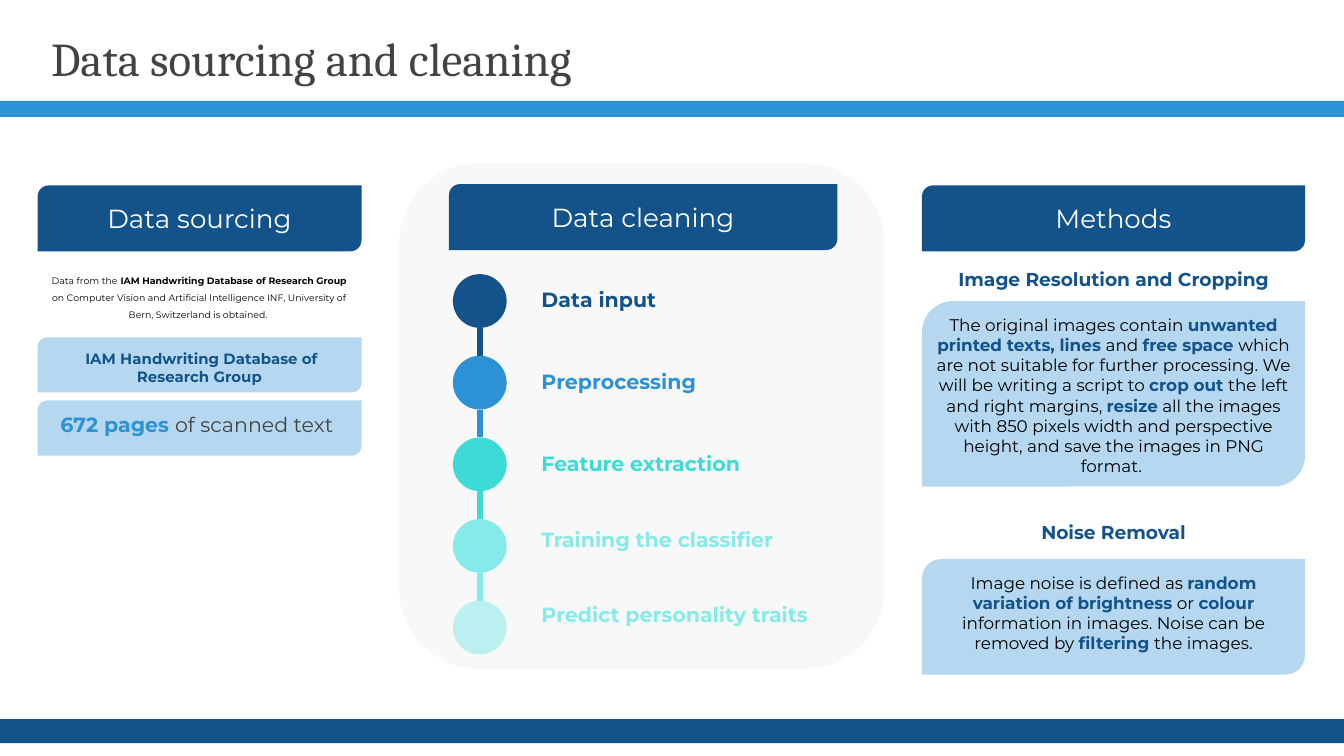
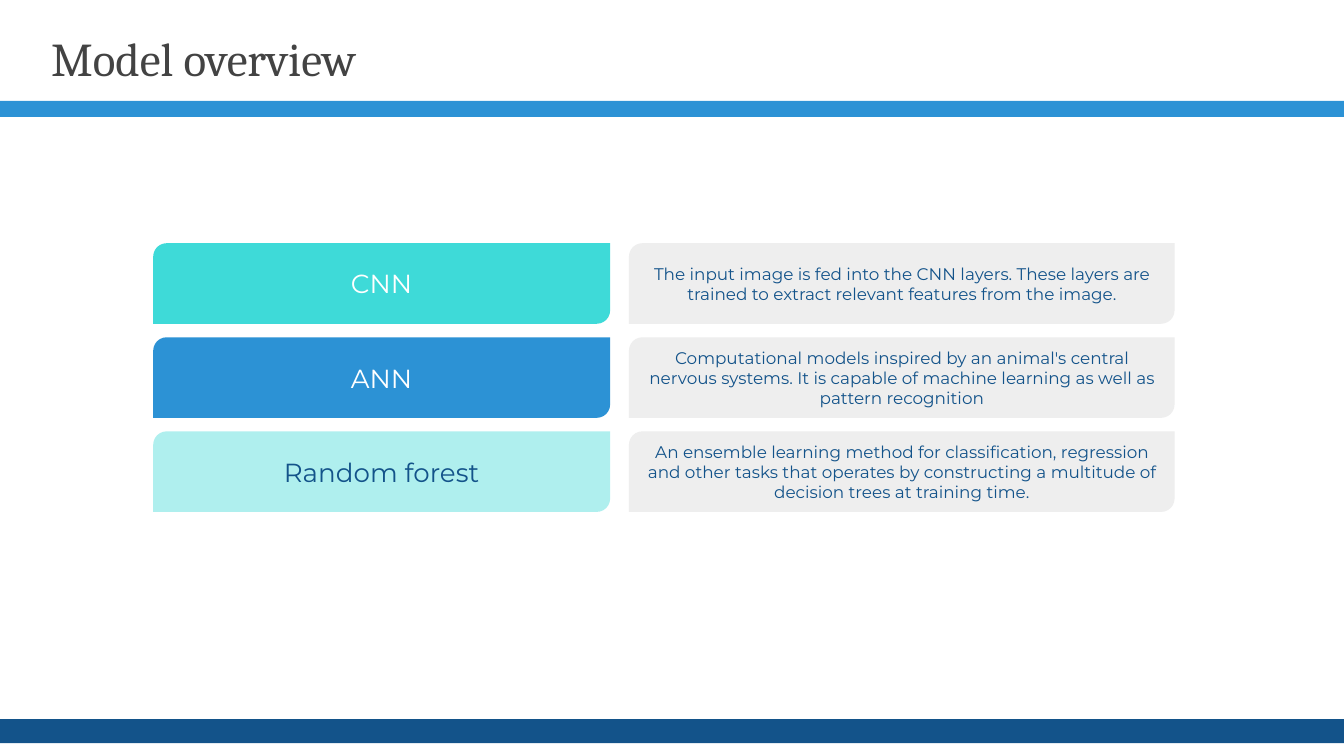
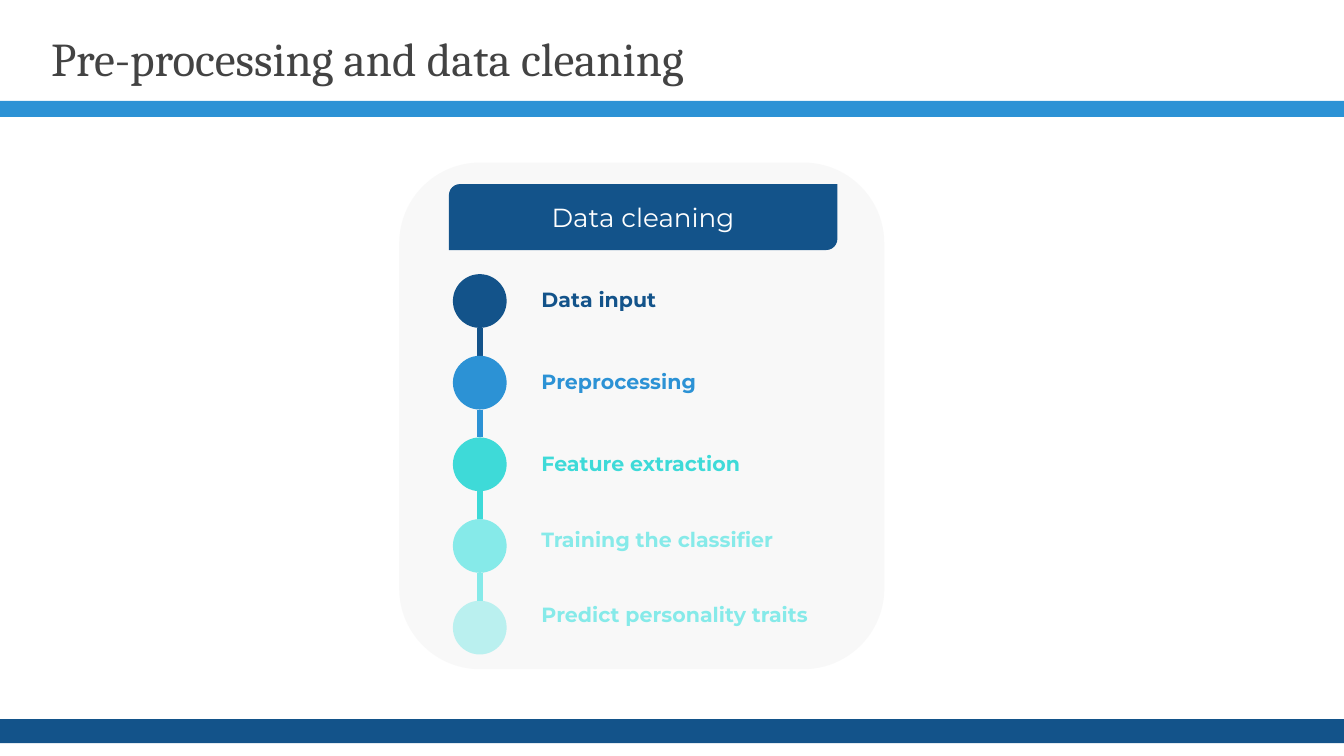
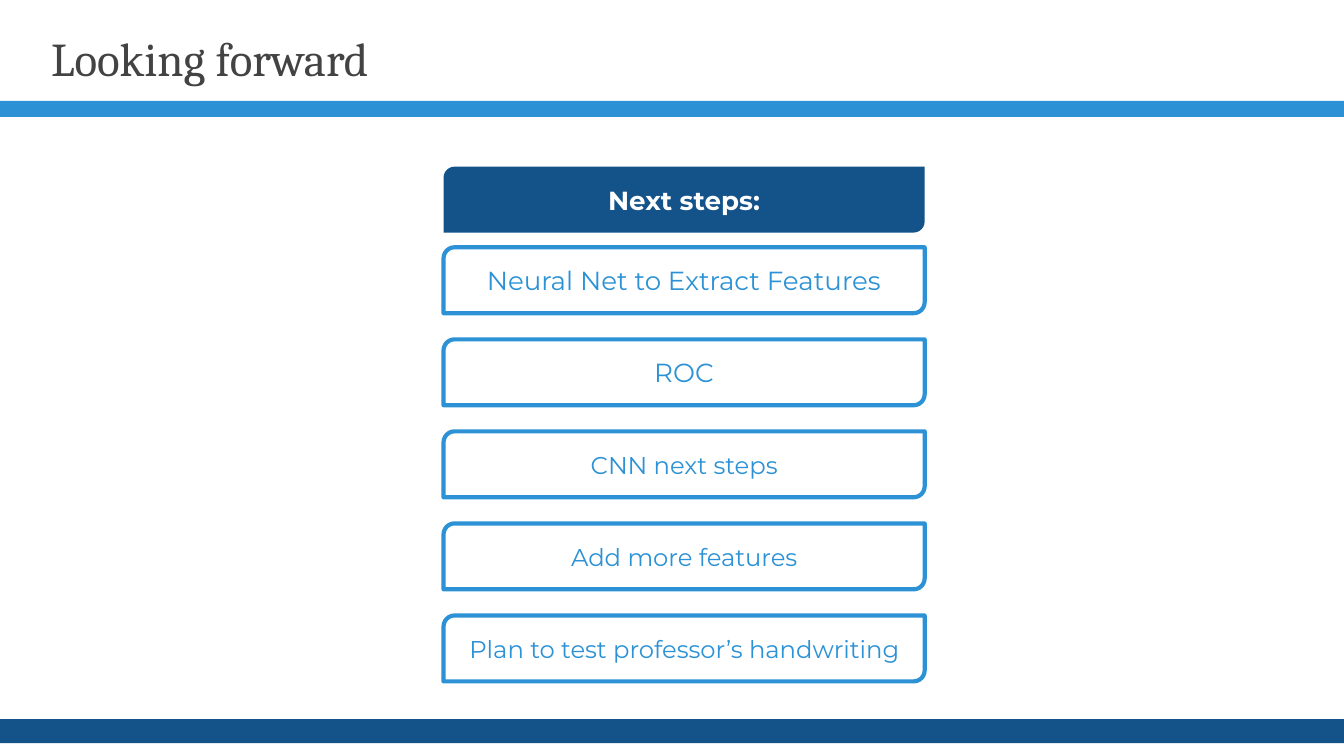
"""Build four slides on handwriting data, models and next steps."""
from lxml import etree
from pptx import Presentation
from pptx.dml.color import RGBColor
from pptx.enum import shapes, text
from pptx.oxml.ns import qn
from pptx.util import Inches, Pt

NAVY = RGBColor(0x13, 0x53, 0x8A)
BLUE = RGBColor(0x2C, 0x92, 0xD5)
TEAL = RGBColor(0x3E, 0xDA, 0xD8)
AQUA = RGBColor(0x86, 0xEA, 0xE9)
GREY = RGBColor(0x43, 0x43, 0x43)
PALE = RGBColor(0xF3, 0xF3, 0xF3)
MIST = RGBColor(0xEE, 0xEE, 0xEE)
WHITE = RGBColor(0xFF, 0xFF, 0xFF)
BLACK = RGBColor(0, 0, 0)

RECT = shapes.MSO_SHAPE.RECTANGLE
LEAF = shapes.MSO_SHAPE.ROUND_2_DIAG_RECTANGLE
ROUND = shapes.MSO_SHAPE.ROUNDED_RECTANGLE
DOT = shapes.MSO_SHAPE.OVAL
LEFT = text.PP_ALIGN.LEFT
MID = text.PP_ALIGN.CENTER


def put(slide, kind, box, fill=None, alpha=100):
    """Add a borderless shape, or a text box when kind is None."""
    box = [Inches(n) for n in box]
    if kind is None:
        area = slide.shapes.add_textbox(*box)
        area.text_frame.auto_size = text.MSO_AUTO_SIZE.SHAPE_TO_FIT_TEXT
        return area
    shape = slide.shapes.add_shape(kind, *box)
    shape.shadow.inherit = False
    shape.line.fill.background()
    if fill is None:
        shape.fill.background()
    else:
        shape.fill.solid()
        shape.fill.fore_color.rgb = fill
    if alpha < 100:
        tint = shape.element.spPr.find(".//" + qn("a:srgbClr"))
        etree.SubElement(tint, qn("a:alpha")).set("val", str(alpha * 1000))
    return shape


def write(shape, words, size, ink, bold=False, align=MID, mark=NAVY, face="Montserrat"):
    """Fill a shape with one paragraph; words between asterisks are bold in mark."""
    frame = shape.text_frame
    frame.word_wrap = True
    frame.margin_left = frame.margin_right = Inches(0.1)
    frame.margin_top = frame.margin_bottom = Inches(0.1)
    para = frame.paragraphs[0]
    para.alignment = align
    para.font.name = face
    para.font.size = Pt(size)
    para.font.bold = bold
    para.font.color.rgb = ink
    for i, part in enumerate(words.split("*")):
        if part:
            run = para.add_run()
            run.text = part
            if i % 2:
                run.font.bold = True
                run.font.color.rgb = mark
    return para


deck = Presentation()
deck.slide_width = Inches(10)
deck.slide_height = deck.slide_width * 9 // 16
layout = deck.slide_layouts[5]

titles = ("Data sourcing and cleaning", "Model overview",
          "Pre-processing and data cleaning", "Looking forward")
for name in titles:
    slide = deck.slides.add_slide(layout)
    title = slide.shapes.title
    title.left, title.top = Inches(0.28), Inches(0.12)
    title.width, title.height = Inches(9.32), Inches(0.63)
    title.text_frame.auto_size = text.MSO_AUTO_SIZE.NONE
    title.text_frame.vertical_anchor = text.MSO_ANCHOR.TOP
    write(title, name, 25.2, GREY, align=LEFT, face="Cambria")
source, model, clean, ahead = deck.slides

bands = ((5.35, 0.18, NAVY), (0.75, 0.12, BLUE))
for i, (top, high, fill) in enumerate(bands):
    band = put(source, RECT, (0, top, 10, high), fill).element
    band.nvSpPr.cNvPr.set("id", str(20 + i))
    layout.shapes.element.insert(2 + i, band)

for x, wide, head in ((0.28, 2.41, "Data sourcing"), (6.86, 2.85, "Methods")):
    write(put(source, LEAF, (x, 1.38, wide, 0.49), NAVY), head, 14, WHITE)

intro = write(
    put(source, None, (0.28, 1.91, 2.41, 0.54)),
    "Data from the* IAM Handwriting Database of Research Group *on Computer Vision "
    "and Artificial Intelligence INF, University of Bern, Switzerland is obtained. ",
    5, BLACK, mark=BLACK)
intro.line_spacing = 1.5

for top in (2.51, 2.98):
    put(source, LEAF, (0.28, top, 2.41, 0.41), BLUE, 35)
write(put(source, None, (0.28, 2.5, 2.41, 0.47)),
      " IAM Handwriting Database of Research Group", 8, NAVY, True)
write(put(source, None, (0.28, 2.97, 2.41, 0.39)),
      "*672 pages *of scanned text ", 11, GREY, mark=BLUE)

methods = (
    ("Image Resolution and Cropping", 1.91, 2.24, 1.38, 1.41,
     "The original images contain *unwanted printed texts, lines *and *free space *"
     "which are not suitable for further processing. We will be writing a script to "
     "*crop out *the left and right margins, *resize* all the images with 850 pixels "
     "width and perspective height, and save the images in PNG format. "),
    ("Noise Removal", 3.79, 4.16, 0.86, 0.81,
     "Image noise is defined as *random variation of brightness *or *colour *"
     "information in images. Noise can be removed by *filtering *the images."),
)
for head, top, low, high, tall, words in methods:
    write(put(source, None, (6.86, top, 2.85, 0.37)), head, 10, NAVY, True)
    put(source, LEAF, (6.86, low, 2.85, high), BLUE, 35)
    write(put(source, None, (6.86, low, 2.85, tall)), words, 9, BLACK)

steps = (("Data input", 2.04, NAVY, 100),
         ("Preprocessing", 2.65, BLUE, 100),
         ("Feature extraction", 3.26, TEAL, 100),
         ("Training the classifier", 3.83, AQUA, 100),
         ("Predict personality traits", 4.39, AQUA, 54))
pitch = 2.43 / 4
for slide in (source, clean):
    put(slide, ROUND, (2.97, 1.21, 3.61, 3.77), PALE, 54)
    write(put(slide, LEAF, (3.34, 1.37, 2.89, 0.49), NAVY), "Data cleaning", 14, WHITE)
    for i, (name, top, hue, alpha) in enumerate(steps):
        y = 2.04 + i * pitch
        put(slide, DOT, (3.37, y, 0.4, 0.4), hue, alpha)
        if i < len(steps) - 1:
            link = slide.shapes.add_connector(
                shapes.MSO_CONNECTOR.STRAIGHT,
                Inches(3.57), Inches(y + 0.4), Inches(3.57), Inches(y + pitch))
            link.line.color.rgb = hue
            link.line.width = Pt(3)
            etree.SubElement(link.element.spPr, qn("a:effectLst"))
        write(put(slide, None, (3.93, top, 2.31, 0.39)), name, 11, hue, True, LEFT)

models = (
    ("CNN", TEAL, 100, WHITE,
     "The input image is fed into the CNN layers. These layers are trained to extract "
     "relevant features from the image."),
    ("ANN", BLUE, 100, WHITE,
     "Computational models inspired by an animal's central nervous systems. It is "
     "capable of machine learning as well as pattern recognition"),
    ("Random forest", TEAL, 41, NAVY,
     "An ensemble learning method for classification, regression and other tasks that "
     "operates by constructing a multitude of decision trees at training time."),
)
for i, (name, fill, alpha, ink, words) in enumerate(models):
    y = 1.81 + 0.7 * i
    write(put(model, LEAF, (1.14, y, 3.4, 0.6), fill, alpha), name, 14, ink)
    write(put(model, LEAF, (4.68, y, 4.06, 0.6), MIST), words, 9, NAVY)

write(put(ahead, LEAF, (3.3, 1.24, 3.58, 0.49), NAVY), "Next steps:", 14, WHITE, True)
plans = (("Neural Net to Extract Features", 14), ("ROC", 14), ("CNN next steps", 13),
         ("Add more features", 13), ("Plan to test professor’s handwriting", 13))
for i, (name, size) in enumerate(plans):
    card = put(ahead, LEAF, (3.3, 1.84 + i * 2.74 / 4, 3.58, 0.49))
    card.line.color.rgb = BLUE
    card.line.width = Pt(2.25)
    write(card, name, size, BLUE)

deck.save("out.pptx")
